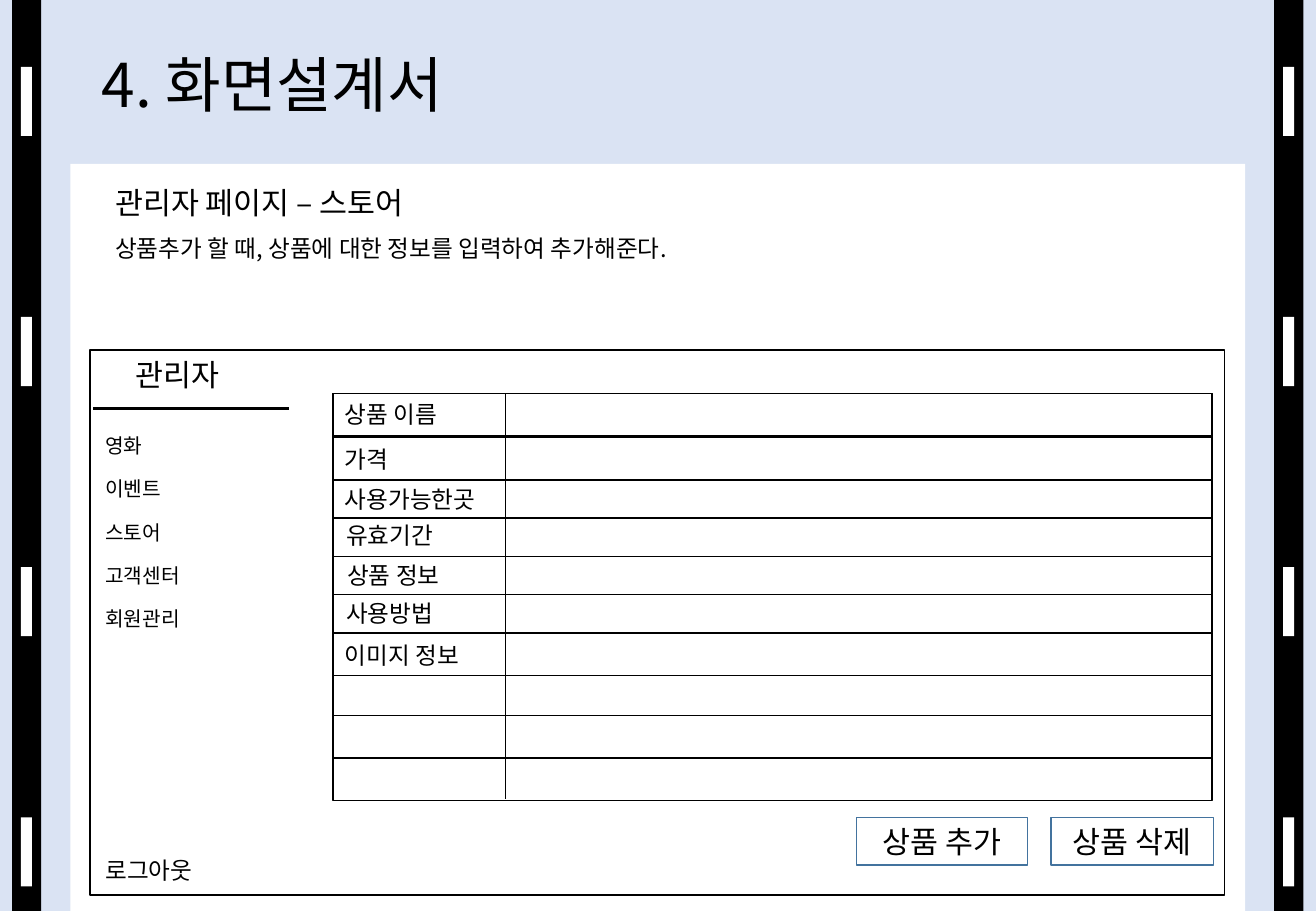
from lxml.etree import SubElement
from pptx import Presentation
from pptx.dml.color import RGBColor
from pptx.enum.shapes import MSO_CONNECTOR, MSO_SHAPE
from pptx.enum.text import MSO_ANCHOR, PP_ALIGN
from pptx.oxml.ns import qn
from pptx.util import Pt

RECT = MSO_SHAPE.RECTANGLE
STRAIGHT = MSO_CONNECTOR.STRAIGHT
LEFT, CENTER = PP_ALIGN.LEFT, PP_ALIGN.CENTER
TOP, MIDDLE = MSO_ANCHOR.TOP, MSO_ANCHOR.MIDDLE

BLACK = RGBColor(0x00, 0x00, 0x00)
WHITE = RGBColor(0xFF, 0xFF, 0xFF)
PALE = RGBColor(0xDA, 0xE3, 0xF3)
BLUE = RGBColor(0x43, 0x73, 0x9E)
KOREAN = "Noto Sans CJK KR"

FORM_X, FORM_Y, FORM_W, FORM_H = 197.3, 233.3, 521.3, 240.5
ROW_H = 25.2
FIELDS = [
    ("상품 이름", 233.3, 0, 0),
    ("가격", 259.2, 0, 0.7),
    ("사용가능한곳", 284.4, 0, -0.7),
    ("유효기간", 307.1, 0.7, -1.8),
    ("상품 정보", 329.8, 1.4, -0.7),
    ("사용방법", 352.5, 0.7, -1.1),
    ("이미지 정보", 375.2, 0, 1.4),
]
SPARE_ROWS = [424.1, 449.3]
MENU = ["영화", "이벤트", "스토어", "고객센터", "회원관리"]
BUTTONS = [("상품 추가", 507.6, 101.5), ("상품 삭제", 622.8, 96.5)]


def add_rect(slide, x, y, w, h, fill=WHITE, line=None):
    box = slide.shapes.add_shape(RECT, Pt(x), Pt(y), Pt(w), Pt(h))
    box.shadow.inherit = False
    if fill is None:
        box.fill.background()
    else:
        box.fill.solid()
        box.fill.fore_color.rgb = fill
    if line is None:
        box.line.fill.background()
    else:
        box.line.color.rgb = line
        box.line.width = Pt(1)
    return box


def set_text(shape, lines, size, align=LEFT, anchor=TOP, font=KOREAN, gap=0):
    frame = shape.text_frame
    frame.word_wrap = True
    frame.vertical_anchor = anchor
    frame.text = "\n".join(lines)
    for para in frame.paragraphs:
        para.alignment = align
        para.space_after = Pt(gap)
        para.font.size = Pt(size)
        para.font.color.rgb = BLACK
        para.font.name = font
        props = para._p.pPr.find(qn("a:defRPr"))
        SubElement(props, qn("a:ea")).set("typeface", KOREAN)


def add_text(slide, x, y, w, h, lines, size, **style):
    box = slide.shapes.add_textbox(Pt(x), Pt(y), Pt(w), Pt(h))
    set_text(box, lines, size, **style)
    return box


def add_line(slide, x1, y1, x2, y2, width):
    line = slide.shapes.add_connector(STRAIGHT, Pt(x1), Pt(y1), Pt(x2), Pt(y2))
    line.line.color.rgb = BLACK
    line.line.width = Pt(width)
    SubElement(line._element.spPr, qn("a:effectLst"))


def add_film(slide, x):
    add_rect(slide, x, 0, 17.3, 540, BLACK)
    for i in range(4):
        add_rect(slide, x + 5.2, 39.6 + 148.3 * i, 6.5, 41)


def add_heading(slide):
    title = add_text(slide, 53.3, 0, 672.5, 104.4, ["4. 화면설계서"], 35.8,
                     anchor=MIDDLE)
    title.text_frame.paragraphs[0].line_spacing = 0.9
    add_rect(slide, 41.8, 97.2, 696.2, 442.8)
    add_text(slide, 61.2, 105.8, 283.7, 28.8, ["관리자 페이지 – 스토어"], 18,
             font="Arial")
    add_text(slide, 61.2, 135.4, 665.3, 24.5,
             ["상품추가 할 때, 상품에 대한 정보를 입력하여 추가해준다."], 14)


def add_sidebar(slide):
    add_rect(slide, 53.3, 207.4, 672.5, 323.3, None, BLACK)
    add_text(slide, 73.4, 207.4, 106.6, 28.8, ["관리자"], 18)
    add_line(slide, 55.4, 241.9, 171.4, 241.9, 1.75)
    add_text(slide, 55.4, 253.2, 116, 153.6, MENU, 12, gap=11.3)
    add_text(slide, 55.4, 504, 85, 24.5, ["로그아웃"], 14)


def add_form(slide):
    add_rect(slide, FORM_X, FORM_Y, FORM_W, FORM_H, WHITE, BLACK)
    for y in [field[1] for field in FIELDS] + SPARE_ROWS:
        add_rect(slide, FORM_X, y, FORM_W, ROW_H, WHITE, BLACK)
    split = FORM_X + 102.2
    add_line(slide, split, FORM_Y, split, FORM_Y + FORM_H, 0.5)
    for name, y, dx, dy in FIELDS:
        add_text(slide, FORM_X + dx, y + dy, 102.2, 24.5, [name], 14)
    for name, x, w in BUTTONS:
        button = add_rect(slide, x, 484.6, w, 28.1, WHITE, BLUE)
        set_text(button, [name], 18, align=CENTER, anchor=MIDDLE)


def main():
    deck = Presentation()
    deck.slide_width, deck.slide_height = Pt(780), Pt(540)
    slide = deck.slides.add_slide(deck.slide_layouts[6])
    slide.background.fill.solid()
    slide.background.fill.fore_color.rgb = PALE
    for x in (7.2, 755.3):
        add_film(slide, x)
    add_heading(slide)
    add_sidebar(slide)
    add_form(slide)
    deck.save("out.pptx")


main()
